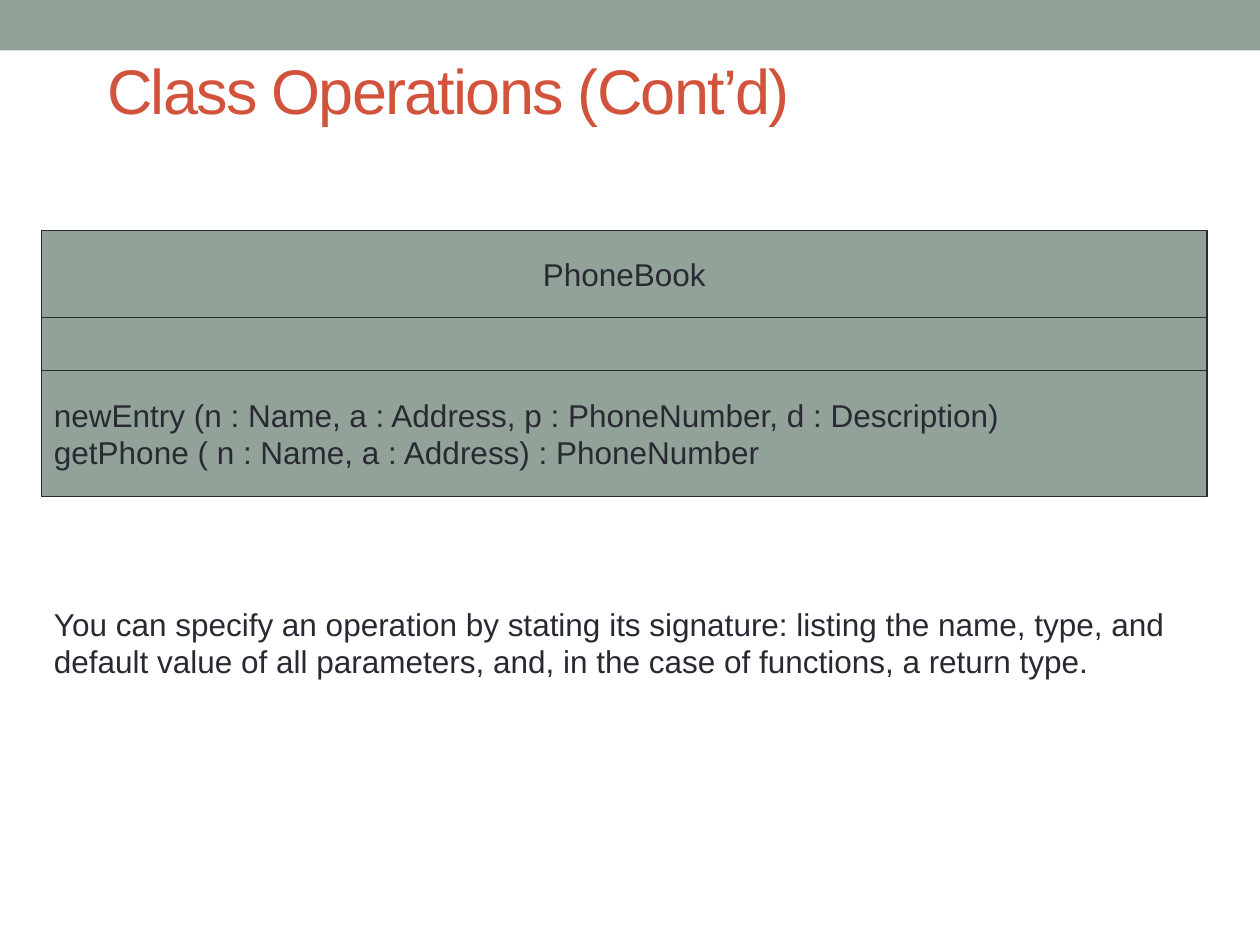
from dataclasses import dataclass

from pptx import Presentation
from pptx import util as u
from pptx.dml.color import RGBColor
from pptx.enum import shapes, text


@dataclass(frozen=True)
class Theme:
    font: str = "Arial"
    sage: RGBColor = RGBColor(0x93, 0xA2, 0x99)
    ink: RGBColor = RGBColor(0x29, 0x29, 0x34)
    accent: RGBColor = RGBColor(0xD2, 0x53, 0x3C)
    title_size: int = 36
    body_size: int = 18


theme = Theme()


def write(box, lines, align, anchor, size=theme.body_size, color=theme.ink):
    frame = box.text_frame
    frame_format = {
        "word_wrap": True,
        "auto_size": text.MSO_AUTO_SIZE.NONE,
        "vertical_anchor": anchor,
    }
    for name, value in frame_format.items():
        setattr(frame, name, value)
    frame.text = "\n".join(lines)
    for para in frame.paragraphs:
        para.alignment = align
        for span in para.runs:
            for name, value in {"name": theme.font, "size": u.Pt(size)}.items():
                setattr(span.font, name, value)
            span.font.color.rgb = color


def add_panel(parent, left, top, width, height):
    panel = parent.add_shape(
        shapes.MSO_SHAPE.RECTANGLE,
        *[u.Inches(length) for length in (left, top, width, height)],
    )
    panel.shadow.inherit = False
    panel.fill.solid()
    panel.fill.fore_color.rgb = theme.sage
    return panel


deck = Presentation()
deck.slide_width, deck.slide_height = u.Inches(10), u.Inches(7.5)
page = deck.slides.add_slide(deck.slide_layouts[5])

banner = add_panel(page.shapes, 0, 0, 10, 0.4)
banner.line.fill.background()

title = page.shapes.title
title_place = {"left": 0.75, "top": 0.42, "width": 8.58, "height": 0.58}
for name, value in title_place.items():
    setattr(title, name, u.Inches(value))
write(title, ["Class Operations (Cont’d)"], text.PP_ALIGN.LEFT,
      text.MSO_ANCHOR.MIDDLE, theme.title_size, theme.accent)
for span in title.text_frame.paragraphs[0].runs:
    span.font._element.set("spc", "-100")

operations = [
    "newEntry (n : Name, a : Address, p : PhoneNumber, d : Description)",
    "getPhone ( n : Name, a : Address) : PhoneNumber",
]
compartments = [
    (1.83, 0.69, ["PhoneBook"], text.PP_ALIGN.CENTER),
    (2.52, 0.52, [], text.PP_ALIGN.LEFT),
    (2.94, 1, operations, text.PP_ALIGN.LEFT),
]
class_diagram = page.shapes.add_group_shape()
for top, height, lines, align in compartments:
    compartment = add_panel(class_diagram.shapes, 0.33, top, 9.25, height)
    compartment.line.color.rgb = theme.ink
    compartment.line.width = u.Pt(0.75)
    if lines:
        write(compartment, lines, align, text.MSO_ANCHOR.MIDDLE)

explanation = page.shapes.add_textbox(
    u.Inches(0.33), u.Inches(4.75), u.Inches(9.17), u.Inches(1.3))
write(explanation, [
    "You can specify an operation by stating its signature: listing the name, "
    "type, and default value of all parameters, and, in the case of functions, "
    "a return type.",
], text.PP_ALIGN.LEFT, text.MSO_ANCHOR.TOP)

deck.save("out.pptx")
